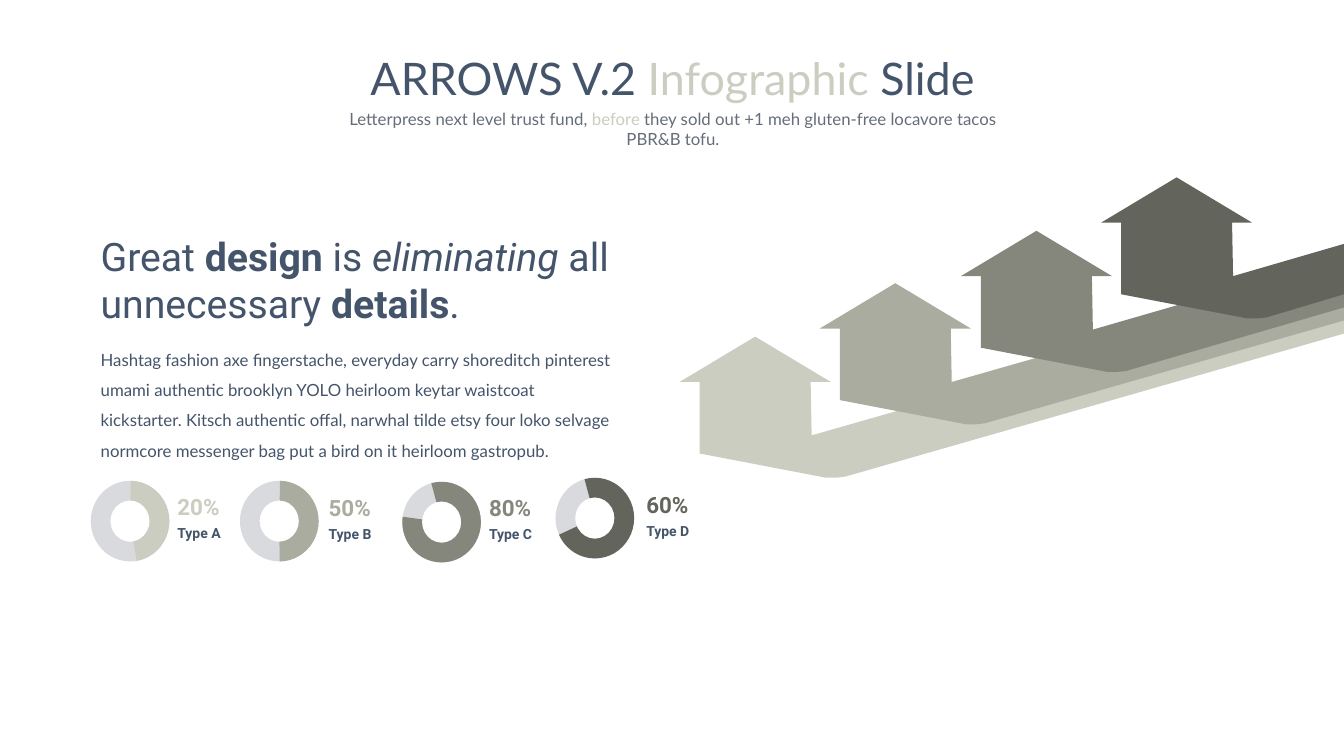
import pptx
import pptx.dml.color
import pptx.enum.shapes
import pptx.enum.text
import pptx.util

PX = 9144  # 100 px to the inch
WIDTH, HEIGHT = 1333, 750
COLORS = {
    "navy": "44546A", "gray": "656D78", "track": "D8DADD",
    "A": "CBCDC0", "B": "AAAC9F", "C": "85877C", "D": "63645C",
}
SHAPES = pptx.enum.shapes.MSO_SHAPE
ALIGN = pptx.enum.text.PP_ALIGN

deck = pptx.Presentation()
deck.slide_width, deck.slide_height = WIDTH * PX, HEIGHT * PX
page = deck.slides.add_slide(deck.slide_layouts[6])


def paint(shape, color):
    """Give a shape a flat fill without outline or shadow."""
    shape.shadow.inherit = False
    shape.fill.solid()
    shape.fill.fore_color.rgb = pptx.dml.color.RGBColor.from_string(COLORS[color])
    shape.line.fill.background()


def add_text(place, spans, base, inset=None, **para_format):
    """Add a one-paragraph box; spans are (text, color, font overrides)."""
    box = page.shapes.add_textbox(*(length * PX for length in place))
    frame = box.text_frame
    frame.word_wrap = True
    if inset is not None:
        for side in ("left", "top", "right", "bottom"):
            setattr(frame, f"margin_{side}", inset * PX)
    para = frame.paragraphs[0]
    for name, value in para_format.items():
        setattr(para, name, value)
    for text, color, extra in spans:
        span = para.add_run()
        span.text = text
        for name, value in {**base, **extra}.items():
            setattr(span.font, name, value)
        span.font.color.rgb = pptx.dml.color.RGBColor.from_string(COLORS[color])


TITLE = {"name": "Lato", "size": pptx.util.Pt(32)}
BODY = {"name": "Lato", "size": pptx.util.Pt(12)}
HEADING = {"name": "Roboto", "size": pptx.util.Pt(28)}
PERCENT = {"name": "Roboto", "size": pptx.util.Pt(16), "bold": True}
TYPE = {"name": "Roboto", "size": pptx.util.Pt(10), "bold": True}

# Title and subtitle
add_text((254, 45, 826, 64), [
    ("ARROWS V.2 ", "navy", {}),
    ("Infographic ", "A", {}),
    ("Slide", "navy", {}),
], TITLE, alignment=ALIGN.CENTER)
add_text((320, 103, 695, 30), [
    ("Letterpress next level trust fund, ", "gray", {}),
    ("before", "A", {}),
    (" they sold out +1 meh gluten-free locavore tacos PBR&B tofu.", "gray", {}),
], BODY, alignment=ALIGN.CENTER)

# Arrows: the same outline around each tip, running out at the right edge
BEND = [(56, 98)]
HEAD = [(65, 139), (70, 140), (80, 140), (89, 139)]
ROOF = [(-55, 116), (-55, 45), (-75, 45), (0, 0), (75, 45), (55, 45)]
TIPS = {"A": (749, 334), "B": (888, 281), "C": (1028, 229), "D": (1167, 176)}
for index, (kind, (tip_x, tip_y)) in enumerate(TIPS.items()):
    edge_top = 281 - 13 * index
    outline = [(tip_x + x, tip_y + y) for x, y in HEAD[::-1] + ROOF + BEND]
    outline += [(WIDTH, edge_top), (WIDTH, edge_top + 50)]
    builder = page.shapes.build_freeform(*outline[0], scale=PX)
    builder.add_line_segments(outline[1:], close=True)
    paint(builder.convert_to_shape(), kind)

# Heading and body text
add_text((90, 226, 546, 104), [
    ("Great ", "navy", {}),
    ("design", "navy", {"bold": True}),
    (" is ", "navy", {}),
    ("eliminating", "navy", {"italic": True}),
    (" all unnecessary ", "navy", {}),
    ("details", "navy", {"bold": True}),
    (".", "navy", {}),
], HEADING)
add_text((90, 332, 532, 131), [(
    "Hashtag fashion axe fingerstache, everyday carry shoreditch pinterest "
    "umami authentic brooklyn YOLO heirloom keytar waistcoat kickstarter. "
    "Kitsch authentic offal, narwhal tilde etsy four loko selvage normcore "
    "messenger bag put a bird on it heirloom gastropub.", "navy", {},
)], BODY, line_spacing=1.5)

# Rings: kind, percent, ring left and top, label left and top, arc angles
RINGS = [
    ("A", "20%", 90, 477, 176, 492, 271.06, 80.55),
    ("B", "50%", 238, 477, 326, 493, 271.06, 89.44),
    ("C", "80%", 399, 478, 485, 493, 255.23, 187.88),
    ("D", "60%", 551, 474, 641, 490, 255.23, 155.07),
]
DEGREE = 0.6  # one degree in adjustment units
for kind, percent, left, top, label_left, label_top, start, end in RINGS:
    for preset, color in ((SHAPES.DONUT, "track"), (SHAPES.BLOCK_ARC, kind)):
        ring = page.shapes.add_shape(preset, left * PX, top * PX, 78 * PX, 80 * PX)
        paint(ring, color)
    for position, value in enumerate((start * DEGREE, end * DEGREE, 0.25)):
        ring.adjustments[position] = value
    add_text((label_left, label_top, 49, 29), [(percent, kind, {})],
             PERCENT, inset=0, line_spacing=0.9)
    add_text((label_left, label_top + 30, 49, 23), [(f"Type {kind}", "navy", {})],
             TYPE, inset=0, line_spacing=0.9)

deck.save("out.pptx")
